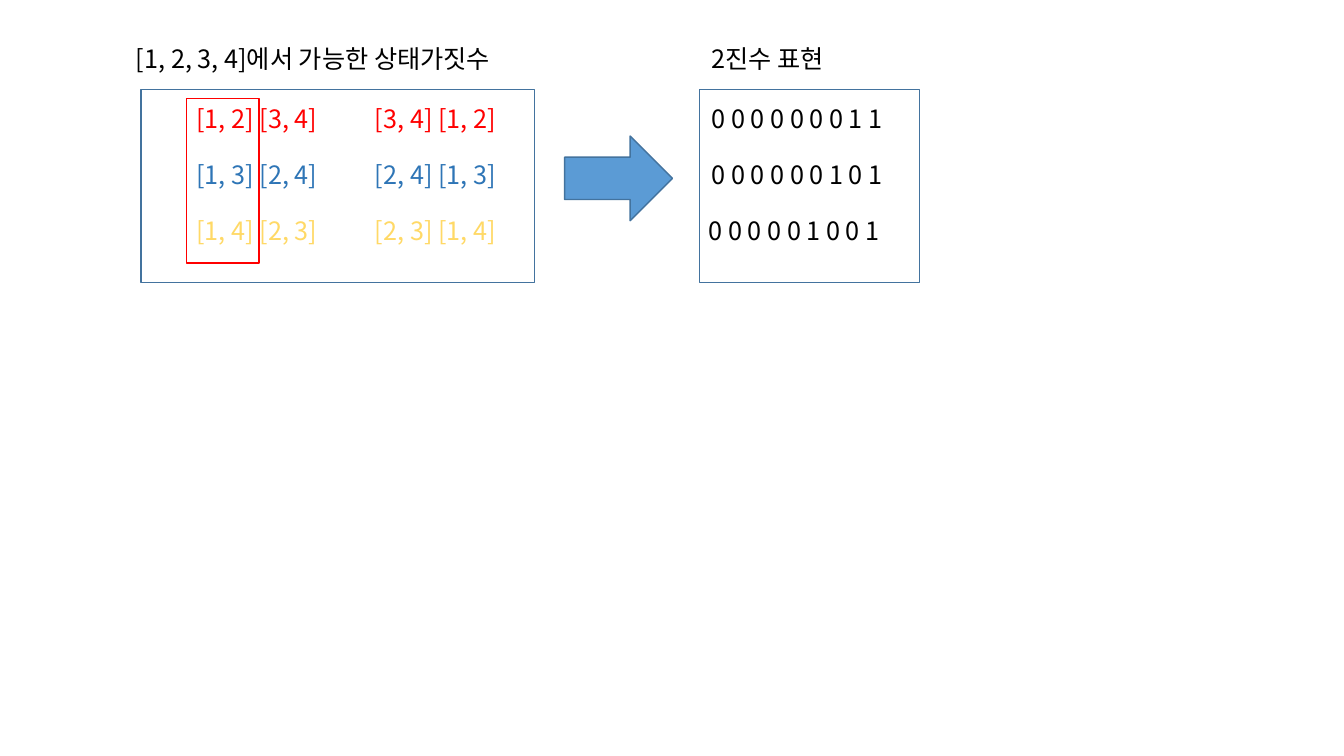
from lxml import etree
from pptx import Presentation
from pptx.dml.color import RGBColor
from pptx.enum import shapes, text
from pptx.oxml.ns import qn
from pptx.util import Inches, Pt

FONT = "Noto Sans CJK KR"
BLACK, RED, BLUE, YELLOW = "000000", "FF0000", "2E75B6", "FFD966"
BORDER, ARROW_FILL = "43739E", "5B9BD5"

HEADINGS = [("[1, 2, 3, 4]에서 가능한 상태가짓수", 1.25, 4.6),
            ("2진수 표현", 6.96, 2.44)]
# colour, split, mirrored split, binary form, left edge of the binary form
STATES = [
    (RED, "[1, 2] [3, 4]", "[3, 4] [1, 2]", "0 0 0 0 0 0 0 1 1", 6.96),
    (BLUE, "[1, 3] [2, 4]", "[2, 4] [1, 3]", "0 0 0 0 0 0 1 0 1", 6.96),
    (YELLOW, "[1, 4] [2, 3]", "[2, 3] [1, 4]", "0 0 0 0 0 1 0 0 1", 6.93),
]
HEADING_TOP, FIRST_ROW_TOP, ROW_STEP = 0.38, 0.98, 0.555
SPLIT_LEFT, MIRROR_LEFT, SPLIT_WIDTH, BINARY_WIDTH = 1.85, 3.62, 1.52, 2.44
PANEL_TOP, PANEL_HEIGHT = 0.89, 1.91


def rgb(colour):
    """Turn a hex string into a colour."""
    return RGBColor.from_string(colour)


def add_text(slide, words, left, top, width, height=0.4, size=18, colour=BLACK):
    """Add one line of left-aligned text."""
    label = slide.shapes.add_textbox(*map(Inches, (left, top, width, height)))
    frame = label.text_frame
    frame.word_wrap = True
    frame.auto_size = text.MSO_AUTO_SIZE.SHAPE_TO_FIT_TEXT
    run = frame.paragraphs[0].add_run()
    run.text = words
    run.font.name, run.font.size = FONT, Pt(size)
    run.font.color.rgb = rgb(colour)
    etree.SubElement(run.font._element, qn("a:ea"), typeface=FONT)


def add_figure(slide, kind, left, top, width, height, line=BORDER, fill=None):
    """Add an outlined preset shape, hollow unless a fill is given."""
    figure = slide.shapes.add_shape(kind, *map(Inches, (left, top, width, height)))
    figure.shadow.inherit = False
    figure.line.color.rgb, figure.line.width = rgb(line), Pt(1)
    if fill:
        figure.fill.solid()
        figure.fill.fore_color.rgb = rgb(fill)
    else:
        figure.fill.background()


deck = Presentation()
deck.slide_width, deck.slide_height = Inches(13.33), Inches(7.5)
slide = deck.slides.add_slide(deck.slide_layouts[6])

for heading, left, width in HEADINGS:
    add_text(slide, heading, left, HEADING_TOP, width)

for row, (colour, split, mirror, binary, binary_left) in enumerate(STATES):
    top = FIRST_ROW_TOP + row * ROW_STEP
    add_text(slide, split, SPLIT_LEFT, top, SPLIT_WIDTH, colour=colour)
    add_text(slide, mirror, MIRROR_LEFT, top, SPLIT_WIDTH, colour=colour)
    add_text(slide, binary, binary_left, top, BINARY_WIDTH)

box = shapes.MSO_SHAPE.RECTANGLE
for panel_left, panel_width in [(1.4, 3.9), (6.94, 2.18)]:
    add_figure(slide, box, panel_left, PANEL_TOP, panel_width, PANEL_HEIGHT)
add_figure(slide, box, SPLIT_LEFT, FIRST_ROW_TOP, 0.72, 1.63, line=RED)
add_figure(slide, shapes.MSO_SHAPE.RIGHT_ARROW, 5.6, 1.35, 1.07, 0.84, fill=ARROW_FILL)

deck.save("out.pptx")
